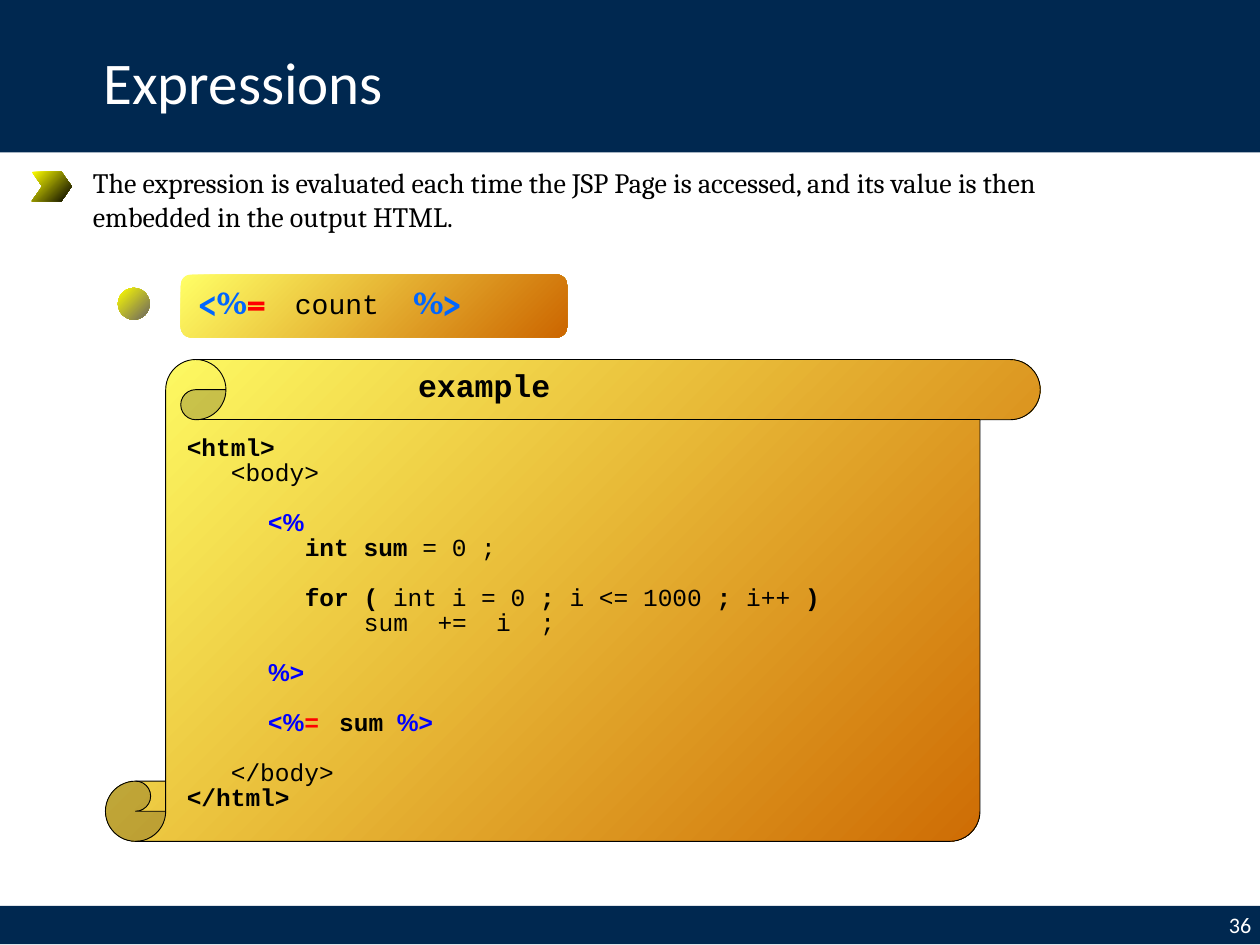
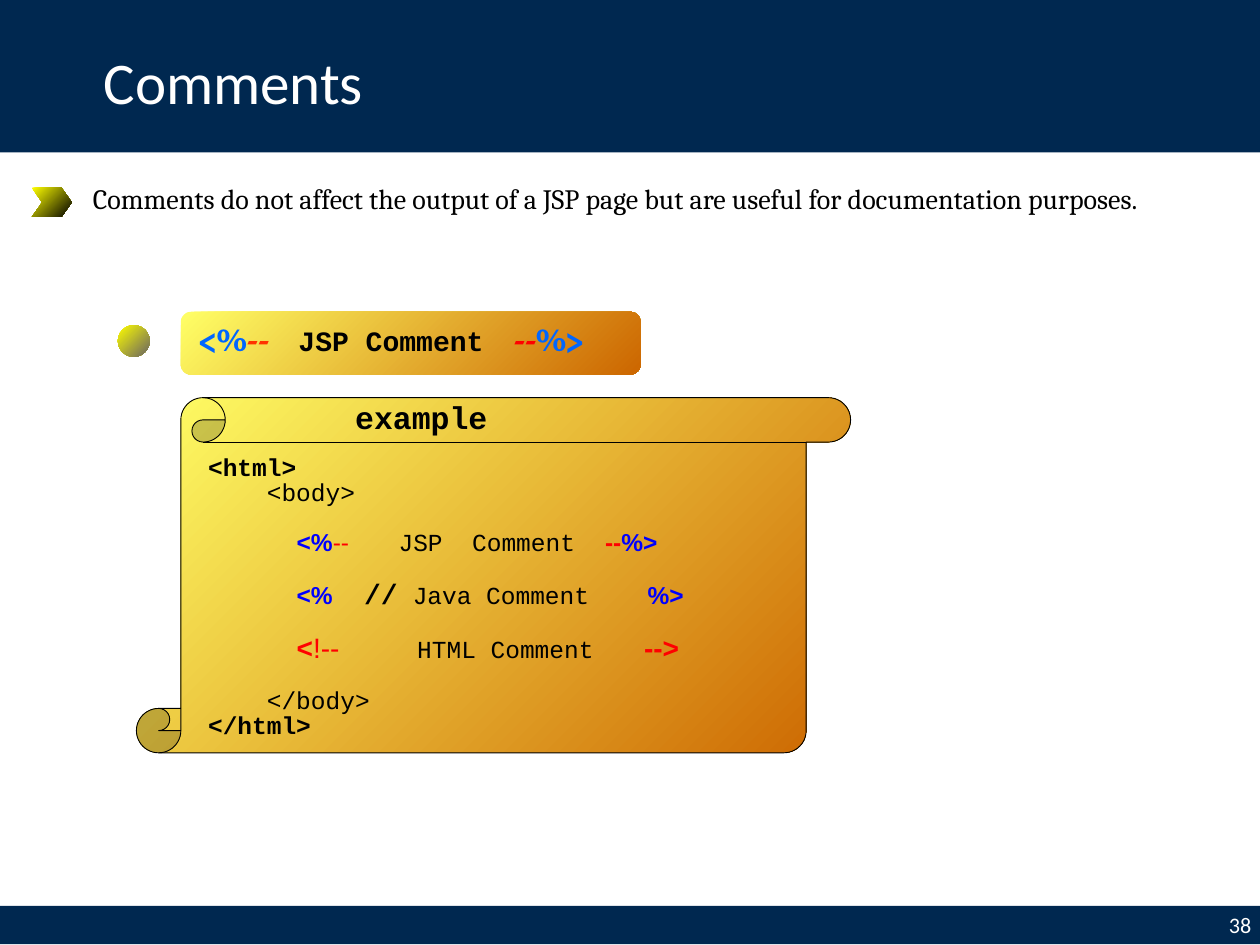
import collections

import pptx
import pptx.dml.color
import pptx.enum.shapes
import pptx.enum.text
import pptx.oxml.ns
import pptx.oxml.xmlchemy
import pptx.util
from pptx.util import Inches

RGBColor = pptx.dml.color.RGBColor
SHAPE = pptx.enum.shapes.MSO_SHAPE
ALIGN = pptx.enum.text.PP_ALIGN
MIDDLE = pptx.enum.text.MSO_ANCHOR.MIDDLE

NAVY = RGBColor(0x00, 0x28, 0x50)
WHITE = RGBColor(0xFF, 0xFF, 0xFF)
BLACK = RGBColor(0x00, 0x00, 0x00)
GREY = RGBColor(0x69, 0x64, 0x64)
YELLOW = RGBColor(0xFF, 0xFF, 0x00)
LEMON = RGBColor(0xFF, 0xFF, 0x66)
COPPER = RGBColor(0xCC, 0x66, 0x00)
RED = RGBColor(0xFF, 0x00, 0x00)
ORANGE_RED = RGBColor(0xFF, 0x33, 0x00)
BLUE = RGBColor(0x00, 0x00, 0xFF)
SKY = RGBColor(0x00, 0x66, 0xFF)

Style = collections.namedtuple("Style", "font size colour bold", defaults=(BLACK, False))
Line = collections.namedtuple("Line", "runs stops gap", defaults=((), False))

# Text styles
TITLE = Style("Calibri", 48, WHITE)
PAGE = Style("Calibri", 18, WHITE)
INTRO = Style("Cambria", 22.8)
EXAMPLE = Style("Courier New", 25.6, BLACK, True)
MARK = Style("TeX Gyre Bonum", 25.6, SKY, True)
SYNTAX = Style("Courier New", 22.8)
CODE = Style("Courier New", 19.9)
BOLD = CODE._replace(bold=True)
TAG = Style("Arial", 19.9, BLUE, True)
RED_TAG = TAG._replace(colour=RED)
HTML_TAG = RED_TAG._replace(size=22.8)
CODE_GAP = 20.4  # points, one empty line of code


class Deck:
    WIDTH, HEIGHT = 14.22, 10.67

    def __init__(self):
        self.prs = pptx.Presentation()
        self.prs.slide_width = Inches(self.WIDTH)
        self.prs.slide_height = Inches(self.HEIGHT)
        self.slide = None

    def new_slide(self, title, number):
        """Start a slide with its title band and numbered footer."""
        self.slide = self.prs.slides.add_slide(self.prs.slide_layouts[6])
        self.shape(SHAPE.RECTANGLE, 0, 0, self.WIDTH, 1.72, NAVY)
        footer = self.shape(SHAPE.RECTANGLE, 0, 10.23, self.WIDTH, 0.43, NAVY)
        self.set_lines(footer.text_frame, [Line([(number, PAGE)])], align=ALIGN.RIGHT)
        heading = self.text(1.07, 0.17, 12.09, 1.58, [Line([(title, TITLE)])], spacing=0.9)
        heading.vertical_anchor = MIDDLE

    def shape(self, kind, left, top, width, height, *colours, outline=False, adjust=None):
        """Draw a preset shape: one colour is solid, two make a diagonal gradient."""
        item = self.slide.shapes.add_shape(
            kind, Inches(left), Inches(top), Inches(width), Inches(height))
        item.shadow.inherit = False
        if adjust is not None:
            item.adjustments[0] = adjust
        if len(colours) == 1:
            item.fill.solid()
            item.fill.fore_color.rgb = colours[0]
        else:
            item.fill.gradient()
            item.fill.gradient_angle = 315
            for stop, colour in zip(item.fill.gradient_stops, colours):
                stop.color.rgb = colour
        if outline:
            item.line.color.rgb = BLACK
            item.line.width = pptx.util.Pt(0.75)
        else:
            item.line.fill.background()
        return item

    def text(self, left, top, width, height, lines, **layout):
        frame = self.slide.shapes.add_textbox(
            Inches(left), Inches(top), Inches(width), Inches(height)).text_frame
        frame.word_wrap = True
        self.set_lines(frame, lines, **layout)
        return frame

    def set_lines(self, frame, lines, align=ALIGN.LEFT, spacing=None):
        for index, line in enumerate(lines):
            paragraph = frame.paragraphs[0] if index == 0 else frame.add_paragraph()
            self.set_tabs(paragraph, line.stops)
            paragraph.alignment = align
            if spacing:
                paragraph.line_spacing = spacing
            if line.gap:
                paragraph.space_before = pptx.util.Pt(CODE_GAP)
            shared = len({style for _, style in line.runs}) == 1
            if shared:
                self.set_font(paragraph.font, line.runs[0][1])
            for words, style in line.runs:
                run = paragraph.add_run()
                run.text = words
                if not shared:
                    self.set_font(run.font, style)

    @staticmethod
    def set_tabs(paragraph, stops):
        if stops:
            make = pptx.oxml.xmlchemy.OxmlElement
            tabs = make("a:tabLst")
            for stop in stops:
                tab = make("a:tab")
                tab.set("pos", str(Inches(stop)))
                tab.set("algn", "l")
                tabs.append(tab)
            paragraph._p.get_or_add_pPr().append(tabs)

    @staticmethod
    def set_font(font, style):
        font.name = style.font
        font.size = pptx.util.Pt(style.size)
        font.bold = style.bold
        font.color.rgb = style.colour

    def intro(self, top, words, align=ALIGN.LEFT):
        """Introductory sentence with its chevron."""
        self.text(0.95, top, 12.09, 0.87, [Line([(words, INTRO)])], align=align)
        self.shape(SHAPE.CHEVRON, 0.36, top + 0.12, 0.45, 0.33, YELLOW, BLACK, adjust=0.35)

    def syntax(self, top, width, line):
        """Syntax pattern on a rounded plate, with a round bullet."""
        self.shape(SHAPE.ROUNDED_RECTANGLE, 2.04, top, width, 0.71, LEMON, COPPER)
        self.shape(SHAPE.OVAL, 1.33, top + 0.15, 0.36, 0.36, YELLOW, GREY)
        self.text(2.14, top + 0.05, width - 0.1, 0.53, [line])

    def example(self, scroll, heading, listing, lines):
        """Code listing on a scroll; the places are in inches."""
        self.shape(SHAPE.VERTICAL_SCROLL, *scroll, LEMON, COPPER, outline=True)
        self.text(*heading, 2.49, 0.53, [Line([("example", EXAMPLE)])])
        self.text(*listing, lines, spacing=0.85)


def main():
    deck = Deck()

    # Expressions
    deck.new_slide("Expressions", "36")
    deck.intro(1.82, "The expression is evaluated each time the JSP Page is accessed, "
                     "and its value is then embedded in the output HTML.")
    deck.syntax(3.1, 4.36, Line(
        [("<%", MARK), ("=\t", MARK._replace(colour=RED)), ("count\t", SYNTAX), ("%>", MARK)],
        (1.09, 2.43)))
    deck.example((1.19, 4.06, 10.55, 5.44), (4.62, 4.08), (2.01, 4.88, 9.13, 4.39), [
        Line([("<html>", BOLD)]),
        Line([("   <body>", CODE)]),
        Line([("            <%", TAG)], gap=True),
        Line([("\t  ", CODE), ("int sum", BOLD), (" = 0 ;", CODE)], (1,)),
        Line([("\t  ", CODE), ("for (", BOLD), (" int i = 0 ", CODE), (";", BOLD),
              (" i <= 1000 ", CODE), (";", BOLD), (" i++ ", CODE), (")", BOLD)], (1,), True),
        Line([("\t\tsum\t+=\ti\t;", CODE)], (1, 2, 2.83, 3.49, 3.99)),
        Line([("            %>", TAG)], gap=True),
        Line([("            <%", TAG), ("=\t", RED_TAG), ("sum\t", BOLD), ("%>", TAG)],
             (1.72, 2.37), True),
        Line([("   </body>", CODE)], gap=True),
        Line([("</html>", BOLD)]),
    ])

    # Comments
    deck.new_slide("Comments", "38")
    deck.intro(2, "Comments do not affect the output of a JSP page but are useful "
                  "for documentation purposes.", ALIGN.JUSTIFY)
    deck.syntax(3.52, 5.19, Line(
        [("<%", MARK), ("--\t", MARK._replace(colour=ORANGE_RED)),
         ("JSP Comment\t", SYNTAX._replace(bold=True)),
         ("--", MARK._replace(colour=RED)), ("%>", MARK)],
        (1.13, 3.56)))
    deck.example((1.54, 4.49, 8.06, 4.01), (3.91, 4.44), (2.25, 5.11, 7.11, 3.33), [
        Line([("<html>", BOLD)]),
        Line([("    <body>", CODE)]),
        Line([("\t", CODE), ("<%", TAG), ("--\t", RED_TAG._replace(bold=False)),
              ("JSP\tComment\t", CODE), ("--", RED_TAG), ("%>", TAG)],
             (1, 2.15, 2.98, 4.48), True),
        Line([("\t", CODE), ("<%\t", TAG), ("//\t", SYNTAX._replace(bold=True)),
              ("Java Comment\t", CODE), ("%>", TAG)],
             (1, 1.76, 2.31, 4.96), True),
        Line([("\t", CODE), ("<", HTML_TAG), ("!--\t", HTML_TAG._replace(bold=False)),
              ("HTML Comment\t", CODE), ("-->", HTML_TAG)],
             (1, 2.36, 4.92), True),
        Line([("    </body>", CODE)], gap=True),
        Line([("</html>", BOLD)]),
    ])

    deck.prs.save("out.pptx")


if __name__ == "__main__":
    main()
